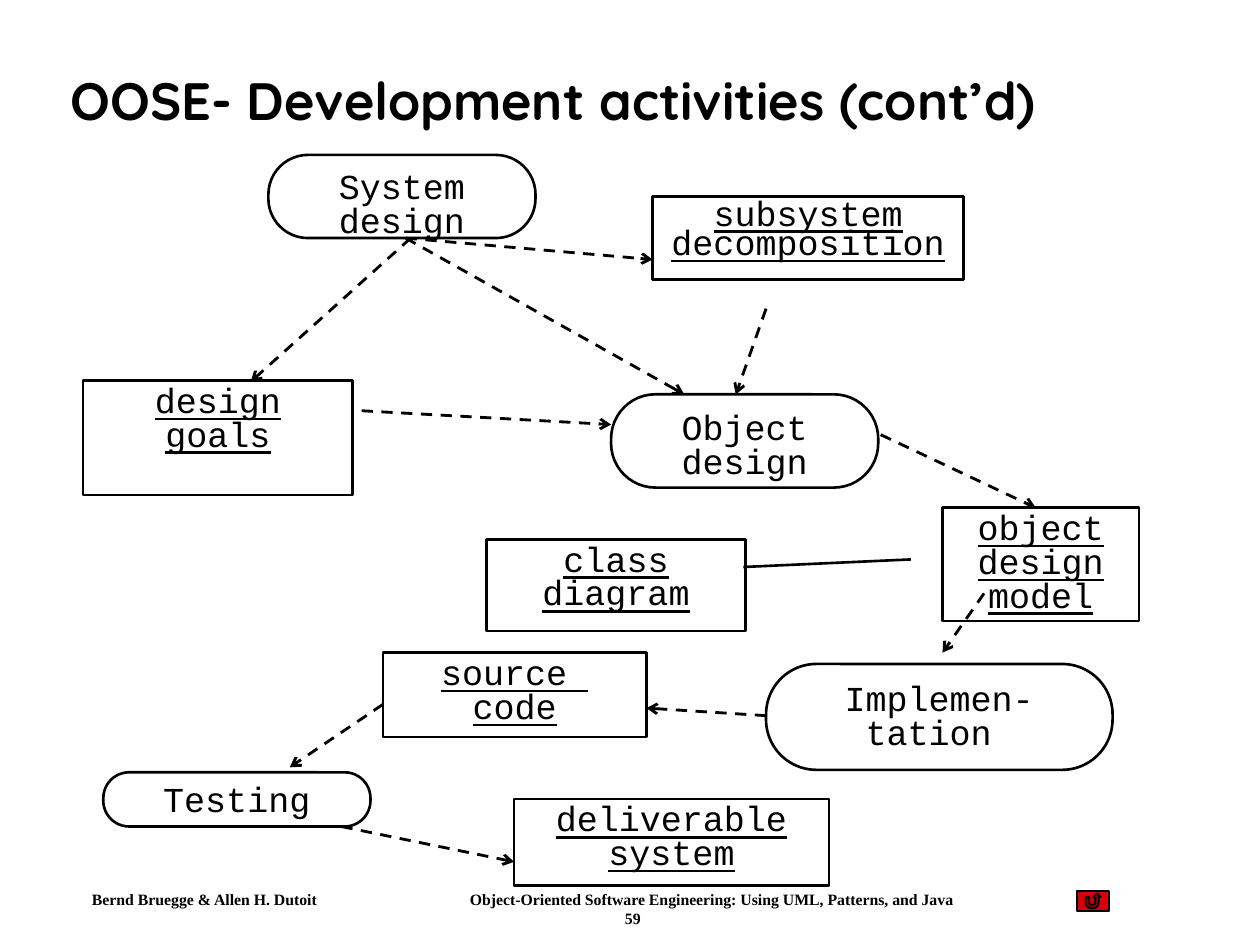
from lxml import etree
from pptx import Presentation
from pptx.dml.color import RGBColor
from pptx.enum.dml import MSO_LINE
from pptx.enum.shapes import MSO_CONNECTOR, MSO_SHAPE
from pptx.enum.text import MSO_ANCHOR, PP_ALIGN
from pptx.oxml.ns import qn
from pptx.util import Inches, Pt

RECT, ROUND = MSO_SHAPE.RECTANGLE, MSO_SHAPE.ROUNDED_RECTANGLE
RETURN_BUTTON = MSO_SHAPE.ACTION_BUTTON_RETURN
STRAIGHT, DASH = MSO_CONNECTOR.STRAIGHT, MSO_LINE.DASH
TOP, MIDDLE = MSO_ANCHOR.TOP, MSO_ANCHOR.MIDDLE
LEFT, CENTER = PP_ALIGN.LEFT, PP_ALIGN.CENTER
BLACK, WHITE, RED = "000000", "FFFFFF", "D5000A"

ACTIVITIES = [
    ("System design", (2.13, 1.23, 2.12, 0.66)),
    ("Object design", (4.85, 3.13, 2.12, 0.74)),
    ("Implemen-tation ", (6.08, 5.27, 2.75, 0.84)),
    ("Testing", (0.82, 6.13, 2.12, 0.43)),
]
PRODUCTS = [
    ("object design model", (7.48, 4.03, 1.56, 0.9), 0.8),
    ("design goals", (0.66, 3.02, 2.14, 0.91), 0.8),
    ("subsystem decomposition", (5.18, 1.56, 2.47, 0.66), 0.7),
    ("source \ncode", (3.04, 5.18, 2.09, 0.67), 0.8),
    ("deliverable system", (4.08, 6.34, 2.5, 0.69), 0.8),
    ("class diagram", (3.86, 4.28, 2.06, 0.73), 0.8),
]
FLOWS = [
    ((3.22, 1.89), (5.18, 2.06)),
    ((3.22, 1.89), (5.43, 3.13)),
    ((3.26, 1.89), (1.99, 3.03)),
    ((2.87, 3.26), (4.85, 3.37)),
    ((6.08, 2.45), (5.84, 3.13)),
    ((6.99, 3.45), (8.22, 4.03)),
    ((7.81, 4.71), (7.48, 5.18)),
    ((6.08, 5.68), (5.13, 5.62)),
    ((2.71, 6.56), (4.08, 6.84)),
    ((3.04, 5.59), (2.3, 6.09)),
]


def color(value):
    """Turn a hex string into a colour."""
    return RGBColor.from_string(value)


def inches(values):
    """Turn numbers into lengths."""
    return [Inches(v) for v in values]


def style_text(tf, font, size, bold=False, underline=False, align=LEFT, spacing=1.0):
    """Format every paragraph of a text frame."""
    for p in tf.paragraphs:
        p.alignment = align
        p.line_spacing = spacing
        for r in p.runs:
            r.font.name = font
            r.font.size = Pt(size)
            r.font.bold = bold
            r.font.underline = underline
            r.font.color.rgb = color(BLACK)


def add_outlined(slide, kind, box, fill=None, width=1.5):
    """Add a black-outlined shape."""
    sp = slide.shapes.add_shape(kind, *inches(box))
    sp.shadow.inherit = False
    if fill:
        sp.fill.solid()
        sp.fill.fore_color.rgb = color(fill)
    else:
        sp.fill.background()
    sp.line.color.rgb = color(BLACK)
    sp.line.width = Pt(width)
    return sp


def add_node(slide, kind, text, box, fill=None, underline=False, spacing=0.8):
    """Add a labelled node of the activity diagram."""
    sp = add_outlined(slide, kind, box, fill)
    if kind == ROUND:
        sp.adjustments[0] = 0.476
    tf = sp.text_frame
    tf.word_wrap = True
    tf.vertical_anchor = TOP
    tf.text = text
    style_text(tf, "Courier New", 20, underline=underline, align=CENTER, spacing=spacing)


def add_link(slide, start, end, width=1.5, flow=False):
    """Add a plain line, or a dashed arrow for a flow."""
    line = slide.shapes.add_connector(STRAIGHT, *inches(start + end))
    line.line.color.rgb = color(BLACK)
    line.line.width = Pt(width)
    if flow:
        line.line.dash_style = DASH
        ln = line.line._get_or_add_ln()
        etree.SubElement(ln, qn("a:tailEnd"), type="arrow")
    etree.SubElement(line._element.spPr, qn("a:effectLst"))


def add_title(slide, box):
    """Add the slide title."""
    tf = slide.shapes.add_textbox(*inches(box)).text_frame
    tf.word_wrap = True
    tf.vertical_anchor = MIDDLE
    tf.text = "OOSE- Development activities (cont’d)"
    style_text(tf, "Quicksand", 30, bold=True, spacing=0.9)


def add_diagram(slide):
    """Add the activities, their products and the flows between them."""
    for text, box in ACTIVITIES:
        add_node(slide, ROUND, text, box, fill=WHITE)
    for text, box, spacing in PRODUCTS:
        add_node(slide, RECT, text, box, underline=True, spacing=spacing)
    add_link(slide, (5.9, 4.5), (7.23, 4.44))
    for start, end in FLOWS:
        add_link(slide, start, end, width=1.62, flow=True)


def add_footer(slide, box):
    """Add the credit line, page number and return button."""
    left, top, width, height = box
    tf = slide.shapes.add_textbox(*inches(box)).text_frame
    tf.word_wrap = True
    tf.margin_left = tf.margin_right = Inches(0.08)
    tf.margin_top = tf.margin_bottom = Inches(0.04)
    tf.text = (
        "Bernd Bruegge & Allen H. Dutoit\t"
        "Object-Oriented Software Engineering: Using UML, Patterns, and Java\n\t59"
    )
    for p, stop in zip(tf.paragraphs, (3.0, 4.23)):
        tabs = etree.SubElement(p._p.get_or_add_pPr(), qn("a:tabLst"))
        etree.SubElement(tabs, qn("a:tab"), pos=str(Inches(stop)), algn="l")
    style_text(tf, "Times New Roman", 9, bold=True)
    button = (left + width - 0.82, top + 0.05, 0.25, 0.16)
    add_outlined(slide, RETURN_BUTTON, button, RED, width=1)


def main():
    """Build the slide and save it."""
    prs = Presentation()
    prs.slide_width, prs.slide_height = Inches(10), Inches(7.5)
    slide = prs.slides.add_slide(prs.slide_layouts[6])
    add_title(slide, (0.46, 0.24, 8.92, 1.17))
    add_diagram(slide)
    add_footer(slide, (0.65, 7.02, 8.72, 0.37))
    prs.save("out.pptx")


if __name__ == "__main__":
    main()
